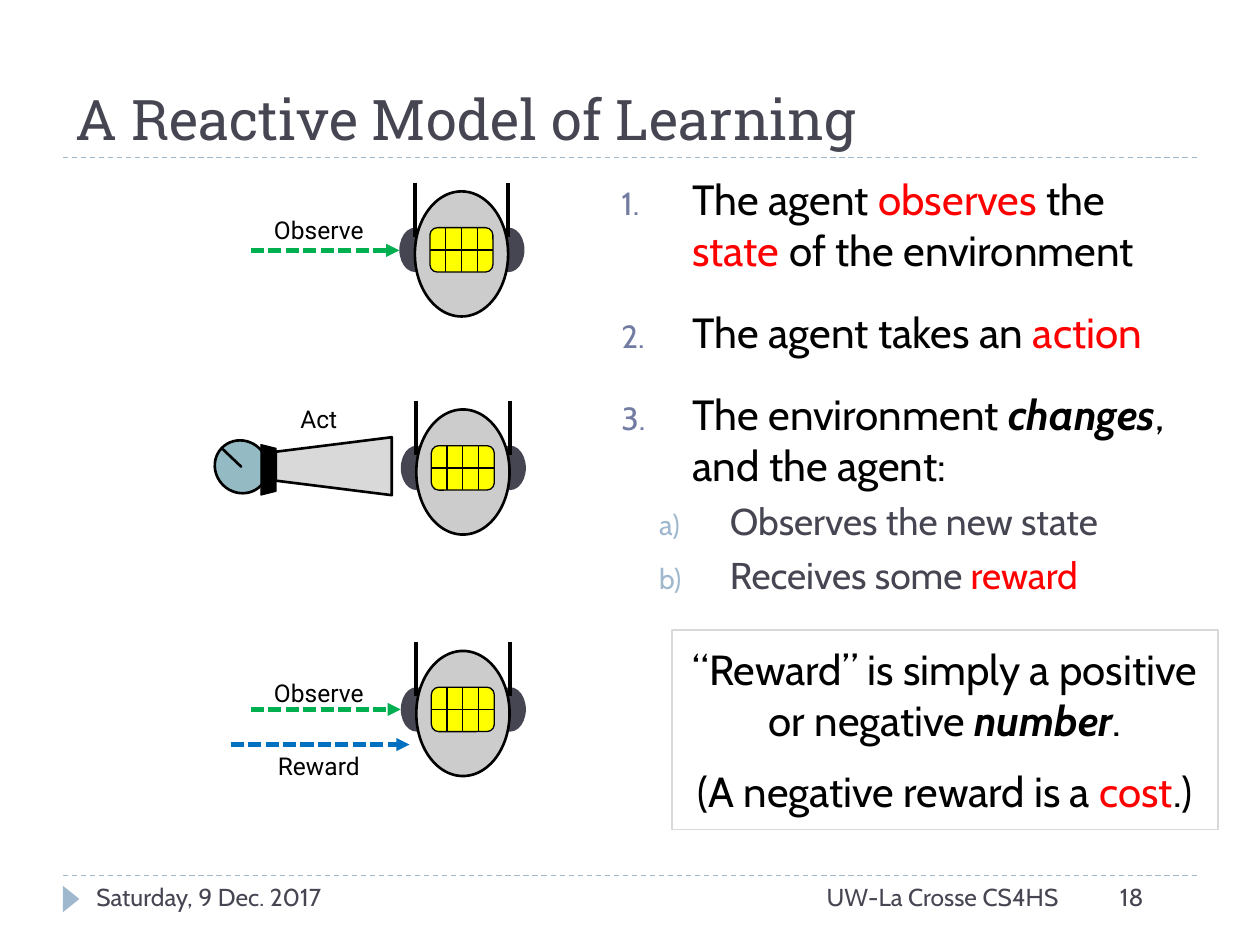
from dataclasses import dataclass
from typing import Any, Optional

from lxml.etree import SubElement
from pptx import Presentation
from pptx.dml.color import RGBColor
from pptx.enum.dml import MSO_LINE_DASH_STYLE as Dash
from pptx.enum.shapes import MSO_CONNECTOR_TYPE as Connector, MSO_SHAPE as Shape
from pptx.enum.text import MSO_ANCHOR as Anchor, PP_ALIGN as Align
from pptx.oxml.ns import qn
from pptx.util import Pt

COLORS = {
    "black": "000000", "white": "FFFFFF", "slate": "464653", "red": "FF0000",
    "mist": "9FB8CD", "indigo": "727CA3", "head": "CCCCCC", "yellow": "FFFF00",
    "green": "00B050", "blue": "0070C0", "arm": "D9D9D9", "claw": "94BAC3",
}


@dataclass(frozen=True)
class Span:
    text: str
    color: str = "black"
    strong: bool = False


@dataclass(frozen=True)
class Para:
    spans: tuple[Span, ...]
    size: float
    font: str = "Cabin"
    align: Align = Align.LEFT
    before: float = 0
    after: float = 0
    numbering: str = ""
    level: int = 0


@dataclass(frozen=True)
class Label:
    text: str
    left: float
    top: float
    width: float
    height: float
    size: float = 14
    font: str = "Cabin"
    color: str = "slate"
    align: Align = Align.LEFT
    anchor: Anchor = Anchor.TOP


@dataclass(frozen=True)
class Arrow:
    left: float
    right: float
    y: float
    color: str


def rgb(name: str) -> RGBColor:
    return RGBColor.from_string(COLORS[name])


def add_number(para: Any, item: Para) -> None:
    props = para._p.get_or_add_pPr()
    props.set("marL", str(Pt(62 if item.level else 40.5)))
    props.set("indent", str(-Pt(40.5)))
    color = SubElement(props, qn("a:buClr"))
    bullet_color = "mist" if item.level else "indigo"
    SubElement(color, qn("a:srgbClr")).set("val", COLORS[bullet_color])
    SubElement(props, qn("a:buSzPct")).set("val", "76000")
    SubElement(props, qn("a:buAutoNum")).set("type", item.numbering)


def fill_text(box: Any, paras: list[Para], anchor: Anchor) -> None:
    frame = box.text_frame
    frame.word_wrap = True
    frame.vertical_anchor = anchor
    for index, item in enumerate(paras):
        para = frame.add_paragraph() if index else frame.paragraphs[0]
        para.alignment = item.align
        para.level = item.level
        para.space_before = Pt(item.before)
        para.space_after = Pt(item.after)
        if item.numbering:
            add_number(para, item)
        for span in item.spans:
            run = para.add_run()
            run.text = span.text
            run.font.name = item.font
            run.font.size = Pt(item.size)
            run.font.bold = run.font.italic = span.strong
            run.font.color.rgb = rgb(span.color)


def add_text(page: Any, left: float, top: float, width: float, height: float,
             paras: list[Para], anchor: Anchor = Anchor.TOP) -> None:
    box = page.shapes.add_textbox(Pt(left), Pt(top), Pt(width), Pt(height))
    fill_text(box, paras, anchor)


def add_label(page: Any, label: Label) -> None:
    para = Para((Span(label.text, label.color),), label.size, label.font, label.align)
    add_text(page, label.left, label.top, label.width, label.height, [para], label.anchor)


def add_shape(parent: Any, kind: Shape, left: float, top: float, width: float, height: float,
              fill: str, line: Optional[str] = None, weight: float = 0.75,
              rotation: float = 0) -> Any:
    shape = parent.shapes.add_shape(kind, Pt(left), Pt(top), Pt(width), Pt(height))
    shape.shadow.inherit = False
    shape.rotation = rotation
    shape.fill.solid()
    shape.fill.fore_color.rgb = rgb(fill)
    if line:
        shape.line.color.rgb = rgb(line)
        shape.line.width = Pt(weight)
    else:
        shape.line.fill.background()
    return shape


def add_line(parent: Any, x1: float, y1: float, x2: float, y2: float, color: str = "black",
             weight: float = 0.75, dash: Optional[Dash] = None) -> Any:
    line = parent.shapes.add_connector(Connector.STRAIGHT, Pt(x1), Pt(y1), Pt(x2), Pt(y2))
    line.line.color.rgb = rgb(color)
    line.line.width = Pt(weight)
    if dash:
        line.line.dash_style = dash
    SubElement(line._element.spPr, qn("a:effectLst"))
    return line


def add_arrow(page: Any, arrow: Arrow) -> None:
    line = add_line(page, arrow.left, arrow.y, arrow.right, arrow.y, arrow.color, 2.5,
                    Dash.SQUARE_DOT)
    SubElement(line.line._get_or_add_ln(), qn("a:tailEnd")).set("type", "triangle")


def add_robot(page: Any, left: float, top: float) -> None:
    robot = page.shapes.add_group_shape()
    for ear in (53.5, 0):
        add_shape(robot, Shape.OVAL, left + ear, top + 25.7, 18, 25.4, "slate")
    add_shape(robot, Shape.OVAL, left + 8.9, top + 5, 53.3, 71.5, "head", "black", 1.5)
    panel_left, panel_top, panel_width, panel_height = left + 17.5, top + 25.7, 36, 25.4
    add_shape(robot, Shape.ROUNDED_RECTANGLE, panel_left, panel_top, panel_width,
              panel_height, "yellow", "black")
    for column in range(1, 4):
        x = panel_left + column * panel_width / 4
        add_line(robot, x, panel_top, x, panel_top + panel_height)
    middle = panel_top + panel_height / 2
    add_line(robot, panel_left, middle, panel_left + panel_width, middle)
    for antenna in (62.2, 8.9):
        add_line(robot, left + antenna, top, left + antenna, top + 30.8, weight=2.25)


def add_arm(page: Any) -> None:
    arm = page.shapes.add_group_shape()
    add_shape(arm, Shape.TRAPEZOID, 174.2, 233.3, 33.1, 66.2, "arm", "black", 1.5, 270)
    claw = add_shape(arm, Shape.PIE, 122.4, 252, 31, 29.5, "claw", "black", 1.5, 223.6)
    claw.adjustments[0], claw.adjustments[1] = 0, -90
    add_shape(arm, Shape.TRAPEZOID, 139, 264.2, 28.8, 8.6, "black", "black", rotation=90)


def main() -> None:
    deck = Presentation()
    deck.slide_width, deck.slide_height = Pt(720), Pt(540)
    page = deck.slides.add_slide(deck.slide_layouts[6])

    for y in (500.4, 90):
        add_line(page, 36, y, 684, y, "mist", dash=Dash.DASH)
    add_shape(page, Shape.ISOSCELES_TRIANGLE, 33.1, 509, 15.1, 9.4, "mist", rotation=90)

    caption = {"left": 131.8, "width": 100.8, "height": 24.5, "font": "Roboto",
               "color": "black", "align": Align.CENTER}
    labels = [
        Label("A Reactive Model of Learning", 36, 12.2, 648, 77.8, 32, "Roboto Slab",
              anchor=Anchor.BOTTOM),
        Label("Saturday, 9 Dec. 2017", 48, 500.4, 216, 28.8),
        Label("UW-La Crosse CS4HS", 276, 500.4, 336, 28.8, align=Align.RIGHT),
        Label("18", 582, 500.4, 78.5, 28.8, align=Align.RIGHT),
        Label("Observe", top=119.5, **caption),
        Label("Act", top=227.5, **caption),
        Label("Observe", top=383.8, **caption),
        Label("Reward", top=425.5, **caption),
    ]
    for label in labels:
        add_label(page, label)

    step = {"size": 24.1, "numbering": "arabicPeriod"}
    result = {"size": 21.3, "numbering": "alphaLcParenR", "level": 1, "before": 5}
    add_text(page, 348, 95.8, 336, 228.2, [
        Para((Span("The agent "), Span("observes", "red"), Span(" the "),
              Span("state", "red"), Span(" of the environment")), after=12, **step),
        Para((Span("The agent takes an "), Span("action", "red")), before=6, after=12, **step),
        Para((Span("The environment "), Span("changes", strong=True),
              Span(", and the agent:")), before=6, **step),
        Para((Span("Observes the new state", "slate"),), **result),
        Para((Span("Receives some ", "slate"), Span("reward", "red")), **result),
    ])

    for left, top in ((228.2, 104.4), (229, 229), (229, 367)):
        add_robot(page, left, top)
    add_arm(page)
    for arrow in (Arrow(143.3, 228.2, 143.1, "green"), Arrow(143.3, 229, 405.4, "green"),
                  Arrow(131.8, 234, 425.5, "blue")):
        add_arrow(page, arrow)

    note = add_shape(page, Shape.RECTANGLE, 384, 360, 312, 114, "white", "arm")
    fill_text(note, [
        Para((Span("“Reward” is simply a positive or negative "),
              Span("number", strong=True), Span(".")), 24, align=Align.CENTER, after=12),
        Para((Span("(A negative reward is a "), Span("cost", "red"), Span(".)")), 24,
             align=Align.CENTER),
    ], Anchor.MIDDLE)

    deck.save("out.pptx")


if __name__ == "__main__":
    main()
